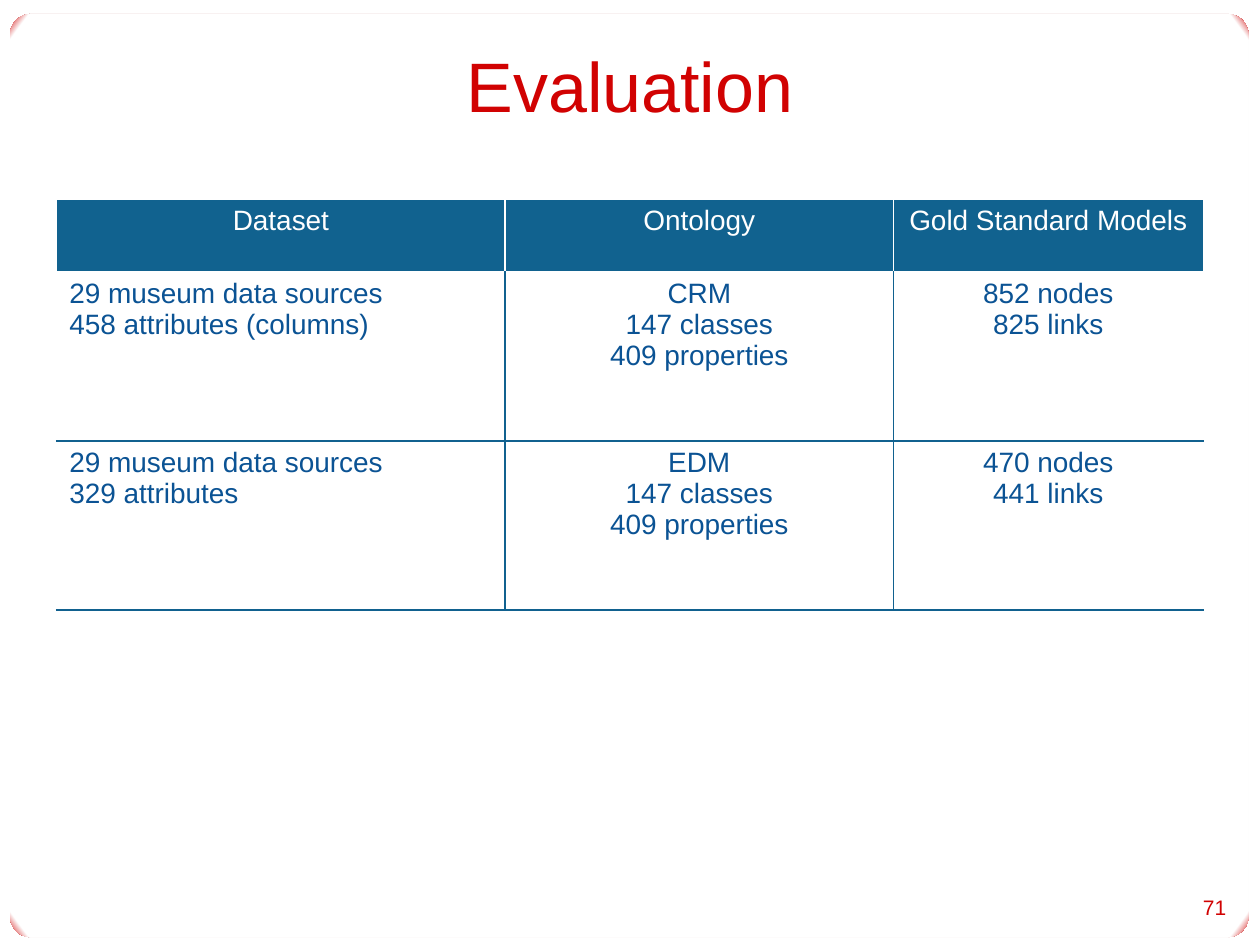
"""Build the Evaluation slide with its table of datasets, ontologies and models."""
from lxml import etree
from pptx import Presentation
from pptx import util as u
from pptx.dml.color import RGBColor
from pptx.enum import shapes, text
from pptx.oxml import ns

RED = RGBColor(0xD1, 0x02, 0x02)
WHITE = RGBColor(0xFF, 0xFF, 0xFF)
HEADER = RGBColor(0x11, 0x62, 0x8F)
RULE = RGBColor(0x11, 0x61, 0x8F)
BODY = RGBColor(0x0B, 0x53, 0x94)
LEFT, CENTER, RIGHT = text.PP_ALIGN.LEFT, text.PP_ALIGN.CENTER, text.PP_ALIGN.RIGHT

TITLE = "Evaluation"
PAGE_NUMBER = "71"
ROWS = [
    [["Dataset"], ["Ontology"], ["Gold Standard Models"]],
    [["29 museum data sources", "458 attributes (columns)"],
     ["CRM", "147 classes", "409 properties"],
     ["852 nodes", "825 links"]],
    [["29 museum data sources", "329 attributes"],
     ["EDM", "147 classes", "409 properties"],
     ["470 nodes", "441 links"]],
]
COLUMN_WIDTHS = [3.56, 3.08, 2.46]
ROW_HEIGHTS = [0.58, 1.34, 1.34]
PANEL_STOPS = [(0, WHITE), (98, WHITE), (100, RED)]


def write(frame, lines, size, color, align):
    """Write one paragraph per line in a single format."""
    for index, line in enumerate(lines):
        para = frame.paragraphs[0] if index == 0 else frame.add_paragraph()
        para.alignment = align
        span = para.add_run()
        span.text = line
        span.font.name, span.font.size = "Arial", u.Pt(size)
        span.font.color.rgb = color


def add_element(parent, tag, **attributes):
    """Append a drawing element and return it."""
    child = etree.SubElement(parent, ns.qn(tag))
    for name, value in attributes.items():
        child.set(name, str(value))
    return child


def add_panel(page):
    """Place the rounded panel with its radial gradient behind everything."""
    panel = page.shapes.add_shape(shapes.MSO_SHAPE.ROUNDED_RECTANGLE, u.Inches(0.08),
                                  u.Inches(0.11), u.Inches(9.83), u.Inches(7.33))
    panel.adjustments[0] = 0.023
    panel.shadow.inherit = False
    panel.line.fill.background()
    panel.fill.background()
    properties = panel.element.spPr
    gradient = etree.Element(ns.qn("a:gradFill"), rotWithShape="1")
    stops = add_element(gradient, "a:gsLst")
    for position, color in PANEL_STOPS:
        stop = add_element(stops, "a:gs", pos=position * 1000)
        add_element(stop, "a:srgbClr", val=color)
    shade = add_element(gradient, "a:path", path="circle")
    add_element(shade, "a:fillToRect", l=50000, t=50000, r=50000, b=50000)
    properties.replace(properties.find(ns.qn("a:noFill")), gradient)
    page.shapes.element.insert(2, panel.element)


def set_borders(cell, colors):
    """Draw the left, right, top and bottom borders of a cell."""
    for side, color in zip("LRTB", colors):
        line = add_element(cell._tc.get_or_add_tcPr(), f"a:ln{side}", w=u.Pt(1))
        add_element(add_element(line, "a:solidFill"), "a:srgbClr", val=color)


def add_results(page):
    """Add the table, ruled between body cells and along the bottom."""
    table = page.shapes.add_table(
        len(ROWS), len(COLUMN_WIDTHS), u.Inches(0.45), u.Inches(1.58),
        u.Inches(sum(COLUMN_WIDTHS)), u.Inches(sum(ROW_HEIGHTS))).table
    for column, width in zip(table.columns, COLUMN_WIDTHS):
        column.width = u.Inches(width)
    for row, height in zip(table.rows, ROW_HEIGHTS):
        row.height = u.Inches(height)
    last = len(COLUMN_WIDTHS) - 1
    for r, row in enumerate(ROWS):
        for c, lines in enumerate(row):
            cell = table.cell(r, c)
            header = r == 0
            write(cell.text_frame, lines, 16, WHITE if header else BODY,
                  CENTER if header or c else LEFT)
            ruled = (not header and c > 0, not header and c < last, r > 1, not header)
            set_borders(cell, [RULE if on else WHITE for on in ruled])
            cell.fill.solid()
            cell.fill.fore_color.rgb = HEADER if header else WHITE


def main():
    deck = Presentation()
    deck.slide_width, deck.slide_height = u.Inches(10), u.Inches(7.5)
    page = deck.slides.add_slide(deck.slide_layouts[5])
    add_panel(page)

    title = page.shapes.title
    title.left, title.top = u.Inches(0.5), u.Inches(0.17)
    title.width, title.height = u.Inches(9), u.Inches(1)
    title.text_frame.vertical_anchor = text.MSO_ANCHOR.MIDDLE
    write(title.text_frame, [TITLE], 40, RED, CENTER)

    box = page.shapes.add_textbox(u.Inches(9.25), u.Inches(7.04), u.Inches(0.58), u.Inches(0.32))
    box.text_frame.word_wrap = True
    box.text_frame.vertical_anchor = text.MSO_ANCHOR.MIDDLE
    write(box.text_frame, [PAGE_NUMBER], 12, RED, RIGHT)

    add_results(page)
    deck.save("out.pptx")


if __name__ == "__main__":
    main()
